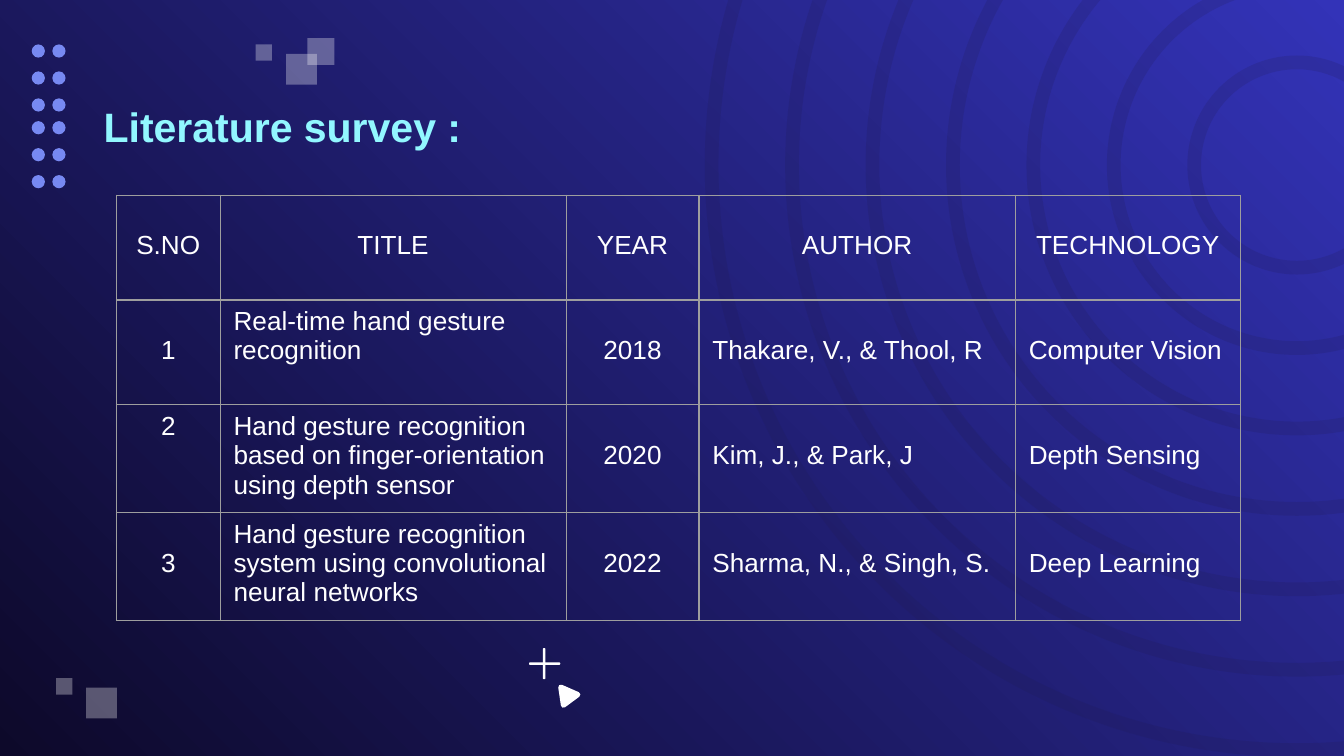
import lxml.etree
import pptx
import pptx.dml.color
import pptx.enum.shapes
import pptx.enum.text
import pptx.oxml.ns
import pptx.util

Cm = pptx.util.Cm
Pt = pptx.util.Pt
qn = pptx.oxml.ns.qn
SHAPE = pptx.enum.shapes.MSO_SHAPE
ALIGN = pptx.enum.text.PP_ALIGN

COLOURS = {
    "night": "0D092A",
    "indigo": "3333B8",
    "ring": "201A4A",
    "dot": "7789F2",
    "white": "FFFFFF",
    "title": "92F7FF",
    "grid": "9E9E9E",
}
FONT = "Arial"
SURVEY = [
    ["S.NO", "TITLE", "YEAR", "AUTHOR", "TECHNOLOGY"],
    ["1", "Real-time hand gesture recognition", "2018",
     "Thakare, V., & Thool, R", "Computer Vision"],
    ["2", "Hand gesture recognition based on finger-orientation using depth sensor",
     "2020", "Kim, J., & Park, J", "Depth Sensing"],
    ["3", "Hand gesture recognition system using convolutional neural networks",
     "2022", "Sharma, N., & Singh, S.", "Deep Learning"],
]
COLUMN_WIDTHS = [1.96, 6.54, 2.51, 5.98, 4.25]
ROW_HEIGHTS = [1.98, 1.98, 1.94, 1.98]
CENTRED_COLUMNS = (0, 2)
TOP_ALIGNED_CELLS = {(1, 1), (2, 0), (2, 1), (3, 1)}


def rgb(name):
    """Return the named colour."""
    return pptx.dml.color.RGBColor.from_string(COLOURS[name])


def paint(shape, colour, opacity=100):
    """Give a shape a flat fill with no outline or shadow."""
    shape.shadow.inherit = False
    shape.fill.solid()
    shape.fill.fore_color.rgb = rgb(colour)
    shape.line.fill.background()
    if opacity < 100:
        tint = shape.fill._xPr.find(".//" + qn("a:srgbClr"))
        lxml.etree.SubElement(tint, qn("a:alpha"), val=str(opacity * 1000))


def add_piece(slide, kind, box, colour, opacity=100):
    """Add a painted preset shape in a box given in centimetres."""
    piece = slide.shapes.add_shape(kind, *map(Cm, box))
    paint(piece, colour, opacity)
    return piece


def style_run(run, size, colour, bold=False):
    """Set the font of a run."""
    run.font.name = FONT
    run.font.size = Pt(size)
    run.font.bold = bold
    run.font.color.rgb = rgb(colour)


def add_background(slide):
    """Fill the background with a diagonal gradient."""
    fill = slide.background.fill
    fill.gradient()
    fill.gradient_angle = 45
    for stop, colour in zip(fill.gradient_stops, ("night", "indigo")):
        stop.color.rgb = rgb(colour)


def add_rings(slide, centre_x, centre_y, inner=2.07, step=1.52, count=7, band=0.26):
    """Draw concentric rings from the widest to the narrowest."""
    for index in reversed(range(count)):
        radius = inner + index * step
        box = (centre_x - radius, centre_y - radius, 2 * radius, 2 * radius)
        ring = add_piece(slide, SHAPE.DONUT, box, "ring", 17)
        ring.adjustments[0] = band / (2 * radius)


def add_dots(slide, left, top):
    """Draw two stacked blocks of dots, each three rows of two."""
    for block in range(2):
        for row in range(3):
            for column in range(2):
                box = (left + column * 0.39, top + block * 1.45 + row * 0.51, 0.25, 0.25)
                add_piece(slide, SHAPE.OVAL, box, "dot")


def add_squares(slide, left, top, squares):
    """Draw translucent squares given as offset and side."""
    for across, down, side in squares:
        box = (left + across, top + down, side, side)
        add_piece(slide, SHAPE.RECTANGLE, box, "white", 31)


def add_plus_and_pointer(slide, left, top):
    """Draw a thin plus sign and a rounded triangle below it."""
    bars = [(0.26, 0, 0.05, 0.59), (0, 0.27, 0.59, 0.05)]
    for across, down, width, height in bars:
        box = (left + across, top + down, width, height)
        bar = add_piece(slide, SHAPE.ROUNDED_RECTANGLE, box, "white")
        bar.adjustments[0] = 0.5
    corners = [(0.6, 0.74), (0.65, 1.08), (0.92, 0.88)]
    start, *others = [(Cm(left + x), Cm(top + y)) for x, y in corners]
    outline = slide.shapes.build_freeform(*start)
    outline.add_line_segments(others)
    pointer = outline.convert_to_shape()
    paint(pointer, "white")
    pointer.line.color.rgb = rgb("white")
    pointer.line.width = Pt(2.8)
    lxml.etree.SubElement(pointer.line._get_or_add_ln(), qn("a:round"))


def add_title(slide, box):
    """Place the slide title."""
    frame = slide.shapes.add_textbox(*map(Cm, box)).text_frame
    frame.word_wrap = True
    frame.vertical_anchor = pptx.enum.text.MSO_ANCHOR.MIDDLE
    frame.text = "Literature survey :"
    style_run(frame.paragraphs[0].runs[0], 22, "title", bold=True)


def add_borders(cell):
    """Draw a thin line on every side of a cell."""
    properties = cell._tc.get_or_add_tcPr()
    for position, side in enumerate(("lnL", "lnR", "lnT", "lnB")):
        line = lxml.etree.Element(qn("a:" + side), w=str(Pt(0.75)))
        fill = lxml.etree.SubElement(line, qn("a:solidFill"))
        lxml.etree.SubElement(fill, qn("a:srgbClr"), val=COLOURS["grid"])
        properties.insert(position, line)


def add_survey(slide, left, top):
    """Place the table of surveyed papers."""
    box = (left, top, sum(COLUMN_WIDTHS), sum(ROW_HEIGHTS))
    survey = slide.shapes.add_table(
        len(ROW_HEIGHTS), len(COLUMN_WIDTHS), *map(Cm, box)).table
    survey.first_row = False
    survey.horz_banding = False
    for column, width in zip(survey.columns, COLUMN_WIDTHS):
        column.width = Cm(width)
    for row, height in zip(survey.rows, ROW_HEIGHTS):
        row.height = Cm(height)
    for row, entries in enumerate(SURVEY):
        for column, entry in enumerate(entries):
            cell = survey.cell(row, column)
            cell.text = entry
            cell.fill.background()
            cell.margin_top = Cm(0.13 if (row, column) in TOP_ALIGNED_CELLS else 0.68)
            paragraph = cell.text_frame.paragraphs[0]
            centred = row == 0 or column in CENTRED_COLUMNS
            paragraph.alignment = ALIGN.CENTER if centred else ALIGN.LEFT
            style_run(paragraph.runs[0], 14, "white")
            add_borders(cell)


def main():
    """Build the literature survey slide."""
    deck = pptx.Presentation()
    deck.slide_width, deck.slide_height = Cm(25.4), Cm(14.29)
    slide = deck.slides.add_slide(deck.slide_layouts[6])
    add_background(slide)
    add_rings(slide, 24.51, 3.12)
    add_squares(slide, 4.83, 0.72, [(0.98, 0, 0.51), (0.58, 0.3, 0.58), (0, 0.12, 0.31)])
    add_dots(slide, 0.6, 0.84)
    add_squares(slide, 1.06, 12.82, [(0.57, 0.18, 0.58), (0, 0, 0.31)])
    add_plus_and_pointer(slide, 10, 12.25)
    add_title(slide, (1.71, 1.8, 11.58, 1.17))
    add_survey(slide, 2.2, 3.69)
    deck.save("out.pptx")


if __name__ == "__main__":
    main()
